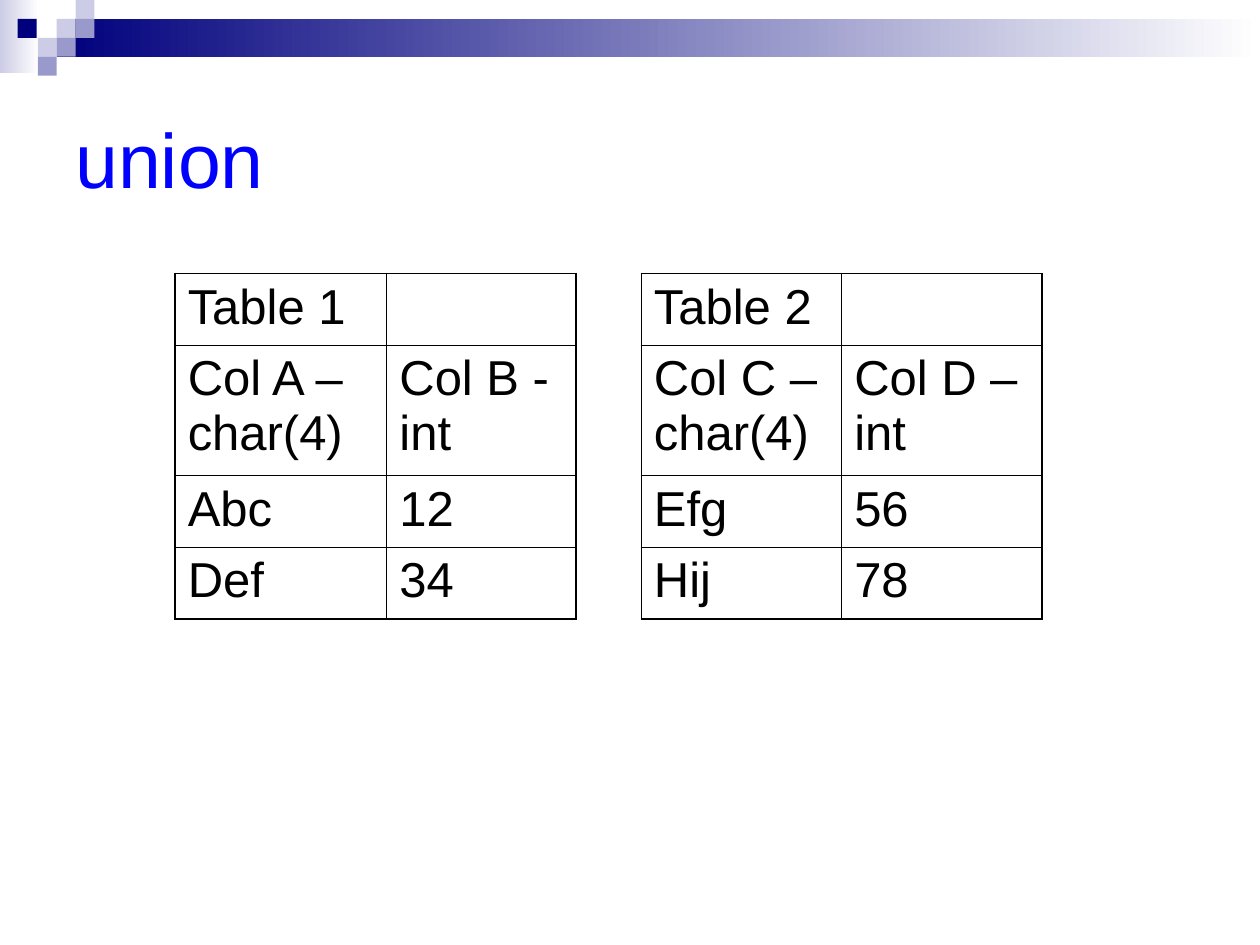
from lxml import etree
from pptx import Presentation
from pptx.dml.color import RGBColor
from pptx.enum import shapes, text
from pptx.oxml import ns
from pptx.util import Inches, Pt

NAVY = RGBColor(0x00, 0x00, 0x7D)
LAVENDER = RGBColor(0xCC, 0xCC, 0xE6)
PERIWINKLE = RGBColor(0x99, 0x99, 0xCC)
WHITE = RGBColor(0xFF, 0xFF, 0xFF)
BLUE = RGBColor(0x00, 0x00, 0xFF)
BLACK = RGBColor(0x00, 0x00, 0x00)
OUTER, INNER = Pt(1.08), Pt(0.45)

presentation = Presentation()
presentation.slide_width = Inches(10)
presentation.slide_height = Inches(7.5)
slide = presentation.slides.add_slide(presentation.slide_layouts[6])


def add_rectangle(left, top, width, height, *colors):
    """One colour gives a solid fill, two give a left-to-right gradient."""
    shape = slide.shapes.add_shape(
        shapes.MSO_SHAPE.RECTANGLE,
        Inches(left), Inches(top), Inches(width), Inches(height))
    shape.shadow.inherit = False
    shape.line.fill.background()
    if len(colors) == 1:
        shape.fill.solid()
        shape.fill.fore_color.rgb = colors[0]
    else:
        shape.fill.gradient()
        shape.fill.gradient_angle = 0
        for stop, color in zip(shape.fill.gradient_stops, colors):
            stop.color.rgb = color


def add_border(cell, side, width):
    line = etree.SubElement(cell._tc.get_or_add_tcPr(), ns.qn(f"a:ln{side}"), w=str(width))
    fill = etree.SubElement(line, ns.qn("a:solidFill"))
    etree.SubElement(fill, ns.qn("a:srgbClr"), val=str(BLACK))


# Header band with its checkered corner
add_rectangle(0, 0, 0.31, 0.58, LAVENDER, WHITE)
add_rectangle(0.45, 0.15, 9.55, 0.3, NAVY, WHITE)
SQUARE = 0.15
for left, top, color in [
    (0.45, 0.15, LAVENDER), (0.6, 0, LAVENDER), (0.6, 0.15, PERIWINKLE),
    (0.3, 0.3, LAVENDER), (0.14, 0.15, NAVY), (0.45, 0.3, PERIWINKLE),
    (0.3, 0.45, PERIWINKLE),
]:
    add_rectangle(left, top, SQUARE, SQUARE, color)

# Title
title = slide.shapes.add_textbox(Inches(0.5), Inches(0.5), Inches(9), Inches(1.5))
title.text_frame.word_wrap = True
title.text_frame.vertical_anchor = text.MSO_ANCHOR.MIDDLE
paragraph = title.text_frame.paragraphs[0]
paragraph.text = "union"
paragraph.font.name = "Arial"
paragraph.font.size = Pt(44)
paragraph.font.color.rgb = BLUE

# The two tables
row_heights = [0.57, 1.03, 0.57, 0.57]
tables = [
    (1.39, [1.68, 1.5], [["Table 1", ""], ["Col A – char(4)", "Col B - int"],
                         ["Abc", "12"], ["Def", "34"]]),
    (5.09, [1.59, 1.59], [["Table 2", ""], ["Col C – char(4)", "Col D – int"],
                          ["Efg", "56"], ["Hij", "78"]]),
]
for left, column_widths, rows in tables:
    table = slide.shapes.add_table(
        len(rows), len(column_widths), Inches(left), Inches(2.17),
        Inches(sum(column_widths)), Inches(sum(row_heights))).table
    table.first_row = False
    table.horz_banding = False
    for column, width in zip(table.columns, column_widths):
        column.width = Inches(width)
    for row, height in zip(table.rows, row_heights):
        row.height = Inches(height)
    last_row, last_column = len(rows) - 1, len(column_widths) - 1
    for row_index, values in enumerate(rows):
        for column_index, value in enumerate(values):
            cell = table.cell(row_index, column_index)
            for side, is_outer in [
                ("L", column_index == 0), ("R", column_index == last_column),
                ("T", row_index == 0), ("B", row_index == last_row),
            ]:
                add_border(cell, side, OUTER if is_outer else INNER)
            cell.fill.background()
            if not value:
                continue
            paragraph = cell.text_frame.paragraphs[0]
            paragraph.text = value
            paragraph.font.name = "Arial"
            paragraph.font.size = Pt(28)
            paragraph.font.color.rgb = BLACK

presentation.save("out.pptx")
